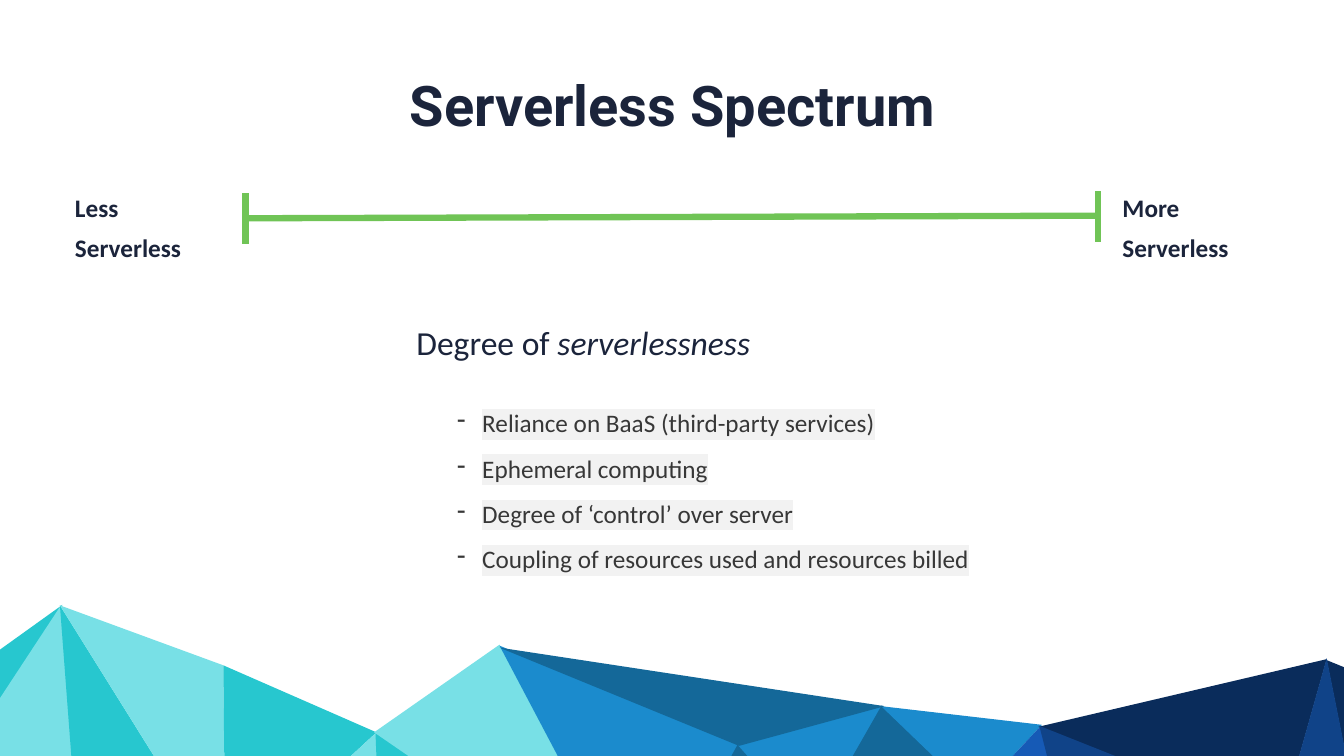
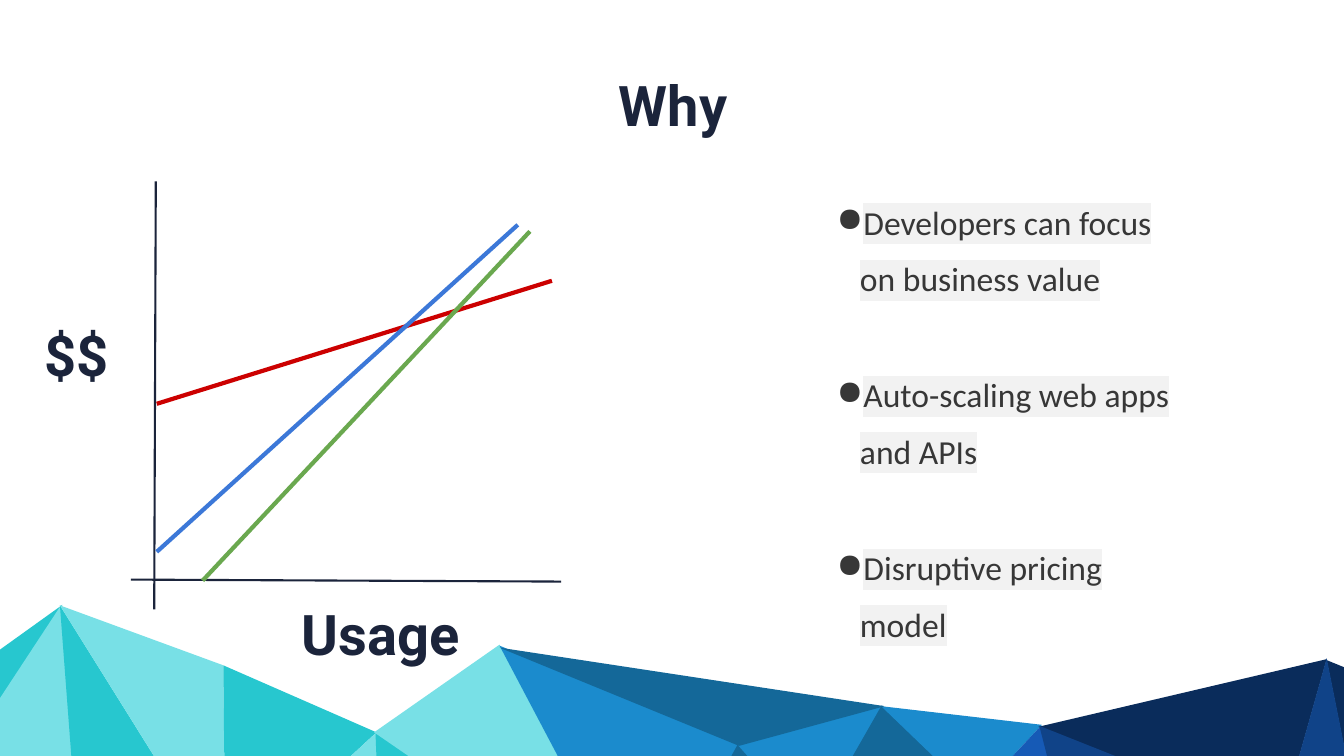
from lxml import etree
from pptx import Presentation
from pptx import util as u
from pptx.dml.color import RGBColor
from pptx.enum import shapes, text
from pptx.oxml import ns

NAVY = RGBColor(0x1B, 0x24, 0x3B)
GREY = RGBColor(0x37, 0x37, 0x37)
HIGHLIGHT = RGBColor(0xF2, 0xF2, 0xF2)
SPECTRUM_GREEN = RGBColor(0x70, 0xC4, 0x56)
COST_RED = RGBColor(0xCC, 0x00, 0x00)
COST_BLUE = RGBColor(0x3C, 0x78, 0xD8)
COST_GREEN = RGBColor(0x6A, 0xA8, 0x4F)
TEAL = RGBColor(0x27, 0xC7, 0xCF)
AQUA = RGBColor(0x78, 0xE0, 0xE6)
SKY = RGBColor(0x1B, 0x8B, 0xCD)
STEEL = RGBColor(0x14, 0x68, 0x99)
ROYAL = RGBColor(0x16, 0x5A, 0xB6)
MIDNIGHT = RGBColor(0x0A, 0x2C, 0x5B)
DEEP_BLUE = RGBColor(0x10, 0x43, 0x88)

HEADING = dict(font="Roboto", size=80, color=NAVY, bold=True,
               align=text.PP_ALIGN.CENTER)
BODY = dict(font="Calibri", color=GREY, highlight=HIGHLIGHT)

# Facets of the mountain band, back to front, corners in cm
FACETS = [
    (TEAL, [(3.15, 30.48), (0, 32.74), (0, 35.26)]),
    (AQUA, [(3.99, 42.27), (3.07, 30.51), (-0.05, 35.26), (-0.05, 42.27)]),
    (TEAL, [(10.36, 42.27), (3.02, 30.51), (3.91, 42.27)]),
    (AQUA, [(11.35, 42.27), (11.25, 33.53), (3.02, 30.51), (10.36, 42.27)]),
    (TEAL, [(13.16, 42.27), (18.97, 36.91), (11.25, 33.53), (11.35, 42.27)]),
    (AQUA, [(19.18, 42.27), (18.97, 36.91), (13.16, 42.27)]),
    (TEAL, [(26.72, 42.27), (18.92, 36.91), (19.13, 42.27)]),
    (AQUA, [(30.33, 42.27), (25.17, 32.49), (18.85, 36.91), (26.64, 42.27)]),
    (SKY, [(34.59, 42.32), (37.24, 37.49), (25.17, 32.54), (30.33, 42.32)]),
    (SKY, [(37.11, 37.57), (40.89, 41.83), (44.48, 35.56)]),
    (STEEL, [(40.84, 41.83), (49.15, 40.13), (44.42, 35.56)]),
    (SKY, [(44.4, 35.59), (49.12, 40.13), (52.5, 36.53)]),
    (ROYAL, [(53.95, 42.44), (52.45, 36.58), (49.05, 40.21), (51.51, 42.44)]),
    (MIDNIGHT, [(52.32, 36.63), (64.52, 41.48), (66.85, 33.22)]),
    (DEEP_BLUE, [(62, 42.44), (64.57, 41.43), (52.37, 36.58), (53.87, 42.44)]),
    (MIDNIGHT, [(68.1, 33.78), (66.85, 33.27), (68.1, 39.55)]),
    (DEEP_BLUE, [(68.1, 42.44), (68.1, 39.42), (66.85, 33.17),
                 (64.52, 41.43), (66.04, 42.44)]),
    (STEEL, [(25.17, 32.64), (44.58, 35.59), (37.24, 37.59)]),
    (STEEL, [(39.9, 42.37), (40.94, 41.81), (37.16, 37.54), (34.52, 42.37)]),
]


def add_text(slide, box, paragraphs, font, size, color, bold=None, align=None,
             spacing=None, bullet=None, hanging=1.27, highlight=None):
    """Each paragraph is a list of (words, italic) runs; box is in cm."""
    shape = slide.shapes.add_textbox(*map(u.Cm, box))
    frame = shape.text_frame
    frame.word_wrap = True
    for index, runs in enumerate(paragraphs):
        paragraph = frame.add_paragraph() if index else frame.paragraphs[0]
        paragraph.alignment = align
        paragraph.line_spacing = spacing
        if bullet:
            properties = paragraph._p.get_or_add_pPr()
            properties.set("marL", str(u.Cm(1.27)))
            properties.set("indent", str(-u.Cm(hanging)))
            bullet_color = etree.SubElement(properties, ns.qn("a:buClr"))
            etree.SubElement(bullet_color, ns.qn("a:srgbClr"), val=str(color))
            etree.SubElement(properties, ns.qn("a:buChar"), char=bullet)
        for words, italic in runs:
            run = paragraph.add_run()
            run.text = words
            run.font.size = u.Pt(size)
            run.font.bold = bold
            run.font.italic = italic
            run.font.color.rgb = color
            if highlight:
                mark = etree.Element(ns.qn("a:highlight"))
                etree.SubElement(mark, ns.qn("a:srgbClr"), val=str(highlight))
                run.font._element.find(ns.qn("a:solidFill")).addnext(mark)
            run.font.name = font


def add_line(slide, points, color, width):
    connector = slide.shapes.add_connector(
        shapes.MSO_CONNECTOR.STRAIGHT, *map(u.Cm, points))
    connector.line.color.rgb = color
    connector.line.width = u.Pt(width)
    etree.SubElement(connector._element.spPr, ns.qn("a:effectLst"))


presentation = Presentation()
presentation.slide_width = u.Cm(67.72)
presentation.slide_height = u.Cm(38.1)

# Both slides: mountain band and title
slides = []
for title, left, width in [("Serverless Spectrum", 11.91, 43.97),
                           ("Why", 20.22, 27.41)]:
    slide = presentation.slides.add_slide(presentation.slide_layouts[6])
    mountains = slide.shapes.add_group_shape()
    for color, corners in FACETS:
        (start_x, start_y), *others = [(u.Cm(x), u.Cm(y)) for x, y in corners]
        builder = mountains.shapes.build_freeform(start_x, start_y)
        builder.add_line_segments(others, close=True)
        facet = builder.convert_to_shape()
        facet.shadow.inherit = False
        facet.fill.solid()
        facet.fill.fore_color.rgb = color
        facet.line.fill.background()
    add_text(slide, (left, 3.45, width, 3.68), [[(title, None)]], **HEADING)
    slides.append(slide)
spectrum_slide, why_slide = slides

# Serverless Spectrum: scale with end marks and end labels
for points in [(12.37, 11, 55.32, 10.87),
               (12.37, 12.29, 12.37, 9.75),
               (55.32, 12.19, 55.32, 9.65)]:
    add_line(spectrum_slide, points, SPECTRUM_GREEN, 9)
for word, left in [("More", 56.31), ("Less", 3.53)]:
    add_text(spectrum_slide, (left, 9.09, 7.8, 3.68),
             [[(word, None)], [("Serverless", None)]],
             font="Calibri", size=36, color=NAVY, bold=True, spacing=1.31)

criteria = ["Reliance on BaaS (third-party services)",
            "Ephemeral computing",
            "Degree of ‘control’ over server",
            "Coupling of resources used and resources billed"]
add_text(spectrum_slide, (22.78, 19.66, 30.15, 9.8),
         [[(criterion, None)] for criterion in criteria],
         size=36, spacing=1.5, bullet="-", **BODY)
add_text(spectrum_slide, (20.73, 16.08, 25.58, 2.31),
         [[("Degree of ", None), ("serverlessness", True)]],
         font="Calibri", size=48, color=NAVY)

# Why: sketch of cost against usage
for points, color, width in [
        ((7.85, 9.14, 7.77, 30.71), NAVY, 3),
        ((28.27, 29.31, 6.6, 29.21), NAVY, 3),
        ((27.81, 14.15, 7.9, 20.35), COST_RED, 6),
        ((26.09, 11.33, 7.9, 27.81), COST_BLUE, 6),
        ((26.7, 11.66, 10.21, 29.26), COST_GREEN, 6)]:
    add_line(why_slide, points, color, width)
for label, box in [("$$", (0.56, 16.03, 6.58, 3.68)),
                   ("Usage", (13.72, 30.07, 10.92, 3.68))]:
    add_text(why_slide, box, [[(label, None)]], **HEADING)

reasons = ["Developers can focus on business value",
           "Auto-scaling web apps and APIs",
           "Disruptive pricing model"]
for index, reason in enumerate(reasons):
    add_text(why_slide, (41.81, 9.22 + 8.71 * index, 18.57, 8.03),
             [[(reason, None)]], size=48, spacing=1.4, bullet="●",
             hanging=1.17, **BODY)

presentation.save("out.pptx")
